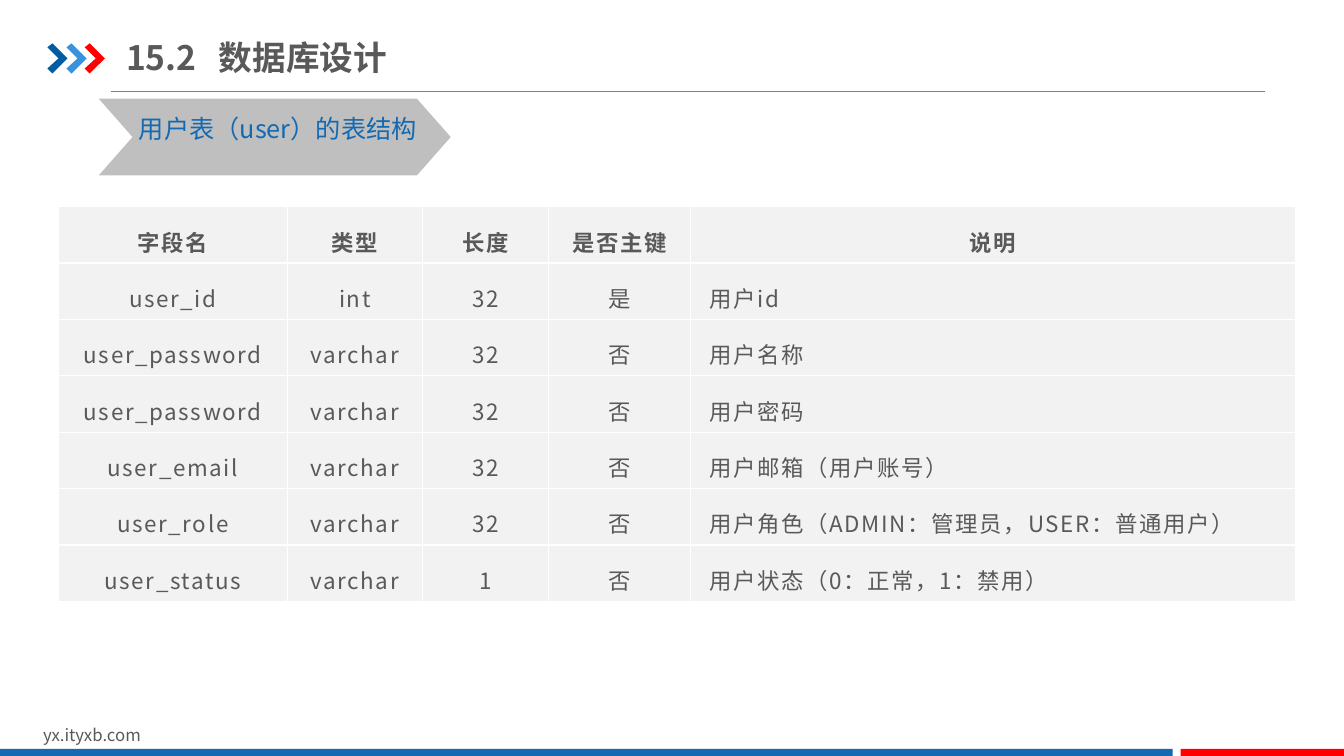
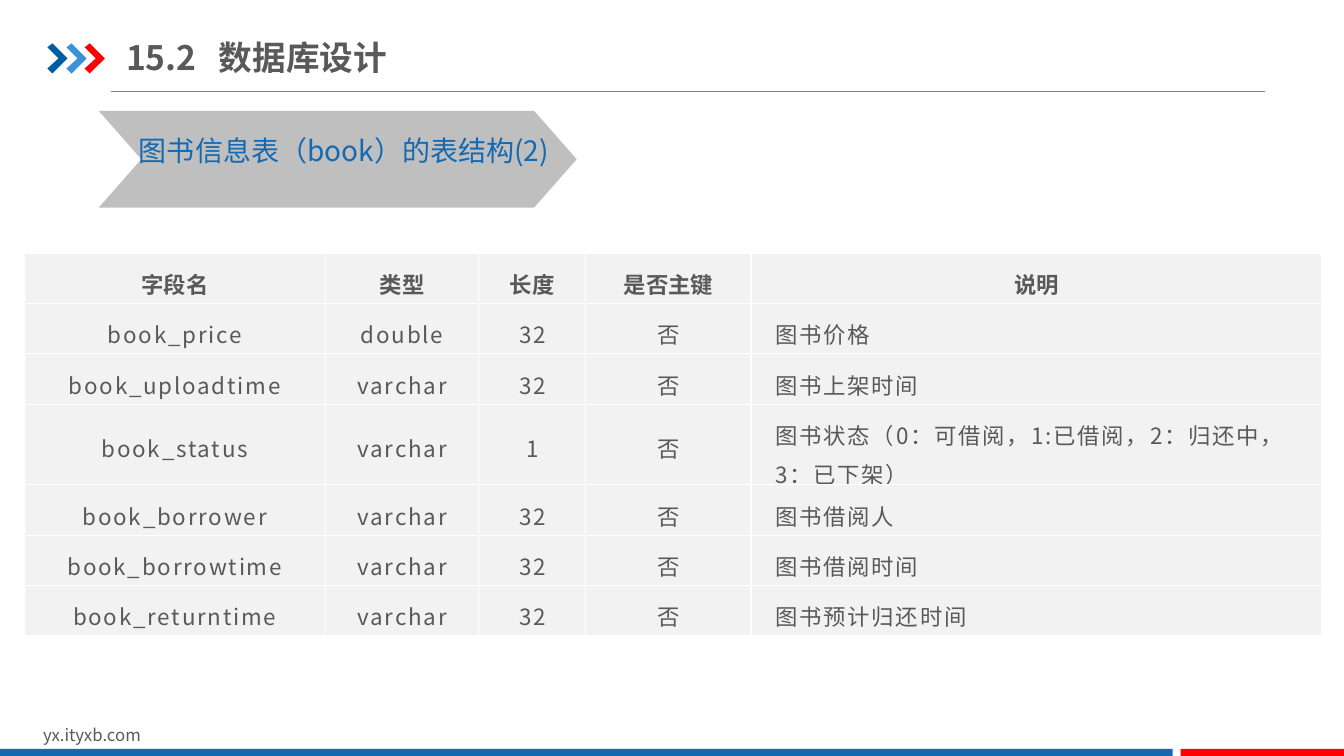
from dataclasses import dataclass
from typing import Optional

from lxml import etree
from pptx import Presentation
from pptx.dml.color import RGBColor
from pptx.enum import shapes, text
from pptx.oxml.ns import qn
from pptx.util import Inches, Pt

BLUE = RGBColor(0x13, 0x69, 0xB2)
DARK_BLUE = RGBColor(0x00, 0x5D, 0xA2)
LIGHT_BLUE = RGBColor(0x39, 0x92, 0xDB)
RED = RGBColor(0xFF, 0x00, 0x00)
TEXT_GREY = RGBColor(0x59, 0x59, 0x59)
RULE_GREY = RGBColor(0x80, 0x80, 0x80)
TAG_GREY = RGBColor(0xBF, 0xBF, 0xBF)
CELL_GREY = RGBColor(0xF2, 0xF2, 0xF2)
FONT = "Noto Sans CJK SC"
TITLE = "15.2\t数据库设计"
HEADERS = ("字段名", "类型", "长度", "是否主键", "说明")


@dataclass(frozen=True)
class Box:
    left: float
    top: float
    width: float
    height: float

    def emu(self) -> tuple:
        return tuple(Inches(v) for v in (self.left, self.top, self.width, self.height))


@dataclass(frozen=True)
class Tag:
    text: str
    size: int
    chevron: Box
    label: Box


@dataclass(frozen=True)
class FieldTable:
    left: float
    top: float
    cols: tuple
    row_heights: tuple
    margin_x: float
    margin_y: float
    header_spacing: int
    body_spacing: int
    rows: tuple


@dataclass(frozen=True)
class Page:
    tag: Tag
    table: FieldTable


@dataclass(frozen=True)
class Arrow:
    left: float
    color: RGBColor


ARROWS = (Arrow(0.47, DARK_BLUE), Arrow(0.66, LIGHT_BLUE), Arrow(0.84, RED))
ARROW_OUTLINE = ((0, 0.47), (0.05, 0.43), (0.2, 0.58), (0.05, 0.73), (0, 0.68), (0.11, 0.58))
BANDS = ((Box(0, 7.43, 11.63, 0.09), BLUE), (Box(11.71, 7.43, 1.63, 0.09), RED))

PAGES = (
    Page(
        Tag("用户表（user）的表结构", 18, Box(0.98, 0.98, 3.49, 0.76), Box(1.28, 1.12, 2.96, 0.4)),
        FieldTable(
            0.58, 2.05, (2.27, 1.34, 1.25, 1.41, 6), (0.55,) * 7, 0.19, 0.12, 120, 120,
            (
                ("user_id", "int", "32", "是", "用户id"),
                ("user_password", "varchar", "32", "否", "用户名称"),
                ("user_password", "varchar", "32", "否", "用户密码"),
                ("user_email", "varchar", "32", "否", "用户邮箱（用户账号）"),
                ("user_role", "varchar", "32", "否", "用户角色（ADMIN：管理员，USER：普通用户）"),
                ("user_status", "varchar", "1", "否", "用户状态（0：正常，1：禁用）"),
            ),
        ),
    ),
    Page(
        Tag("图书信息表（book）的表结构(2)", 20, Box(0.98, 1.1, 4.74, 0.96), Box(1.28, 1.33, 4.29, 0.44)),
        FieldTable(
            0.24, 2.51, (2.99, 1.52, 1.06, 1.64, 5.66), (0.5,) * 3 + (0.8,) + (0.5,) * 3,
            0.24, 0.08, 0, 130,
            (
                ("book_price", "double", "32", "否", "图书价格"),
                ("book_uploadtime", "varchar", "32", "否", "图书上架时间"),
                ("book_status", "varchar", "1", "否", "图书状态（0：可借阅，1:已借阅，2：归还中，3：已下架）"),
                ("book_borrower", "varchar", "32", "否", "图书借阅人"),
                ("book_borrowtime", "varchar", "32", "否", "图书借阅时间"),
                ("book_returntime", "varchar", "32", "否", "图书预计归还时间"),
            ),
        ),
    ),
)


def format_run(r, size: int, color: RGBColor, bold: bool = False, spacing: int = 0) -> None:
    r.font.size = Pt(size)
    r.font.bold = bold
    r.font.color.rgb = color
    r.font.name = FONT
    rpr = r.font._element
    etree.SubElement(rpr, qn("a:ea")).set("typeface", FONT)
    if spacing:
        rpr.set("spc", str(spacing))


def fill_shape(sp, color: RGBColor) -> None:
    sp.shadow.inherit = False
    sp.fill.solid()
    sp.fill.fore_color.rgb = color
    sp.line.fill.background()


def add_text(s, box: Box, content: str, size: int, color: RGBColor, bold: bool = False,
             line_spacing: Optional[float] = None, tab: Optional[float] = None):
    tf = s.shapes.add_textbox(*box.emu()).text_frame
    tf.word_wrap = True
    tf.text = content
    p = tf.paragraphs[0]
    if line_spacing:
        p.line_spacing = line_spacing
    if tab:
        stops = etree.SubElement(p._p.get_or_add_pPr(), qn("a:tabLst"))
        etree.SubElement(stops, qn("a:tab"), pos=str(Inches(tab)), algn="l")
    for r in p.runs:
        format_run(r, size, color, bold)
    return tf


def add_frame(s) -> None:
    rule = s.shapes.add_connector(
        shapes.MSO_CONNECTOR.STRAIGHT, Inches(1.1), Inches(0.91), Inches(12.55), Inches(0.91))
    rule.line.color.rgb = RULE_GREY
    rule.line.width = Pt(0.5)
    etree.SubElement(rule._element.spPr, qn("a:effectLst"))
    group = s.shapes.add_group_shape()
    for arrow in ARROWS:
        points = [(Inches(arrow.left + x), Inches(y)) for x, y in ARROW_OUTLINE]
        builder = group.shapes.build_freeform(*points[0])
        builder.add_line_segments(points[1:], close=True)
        fill_shape(builder.convert_to_shape(), arrow.color)
    add_text(s, Box(0.33, 7.14, 3.18, 0.3), "yx.ityxb.com", 12, TEXT_GREY)
    for box, color in BANDS:
        fill_shape(s.shapes.add_shape(shapes.MSO_SHAPE.RECTANGLE, *box.emu()), color)
    tf = add_text(s, Box(1.25, 0.29, 3.21, 0.55), TITLE, 24, TEXT_GREY, bold=True, tab=0.92)
    tf.vertical_anchor = text.MSO_ANCHOR.MIDDLE
    tf.margin_left = tf.margin_right = 0
    tf.margin_top = tf.margin_bottom = Inches(0.07)


def add_tag(s, tag: Tag) -> None:
    sp = s.shapes.add_shape(shapes.MSO_SHAPE.CHEVRON, *tag.chevron.emu())
    sp.adjustments[0] = 0.44
    fill_shape(sp, TAG_GREY)
    add_text(s, tag.label, tag.text, tag.size, BLUE, line_spacing=0.85)


def add_borders(cell) -> None:
    tcpr = cell._tc.get_or_add_tcPr()
    for i, side in enumerate(("lnL", "lnR", "lnT", "lnB")):
        ln = etree.Element(qn(f"a:{side}"), w=str(Pt(1)))
        fill = etree.SubElement(ln, qn("a:solidFill"))
        etree.SubElement(fill, qn("a:srgbClr"), val="FFFFFF")
        tcpr.insert(i, ln)


def add_field_table(s, spec_: FieldTable) -> None:
    rows = (HEADERS,) + spec_.rows
    box = Box(spec_.left, spec_.top, sum(spec_.cols), sum(spec_.row_heights))
    table = s.shapes.add_table(len(rows), len(HEADERS), *box.emu()).table
    table.first_row = table.horz_banding = False
    for column, width in zip(table.columns, spec_.cols):
        column.width = Inches(width)
    for row, height in zip(table.rows, spec_.row_heights):
        row.height = Inches(height)
    for i, values in enumerate(rows):
        header = i == 0
        for j, value in enumerate(values):
            cell = table.cell(i, j)
            cell.fill.solid()
            cell.fill.fore_color.rgb = CELL_GREY
            add_borders(cell)
            cell.vertical_anchor = text.MSO_ANCHOR.MIDDLE
            cell.margin_left = cell.margin_right = Inches(spec_.margin_x)
            cell.margin_top = cell.margin_bottom = Inches(spec_.margin_y)
            cell.text_frame.text = value
            p = cell.text_frame.paragraphs[0]
            p.line_spacing = 1.2
            left_aligned = j == len(HEADERS) - 1 and not header
            p.alignment = text.PP_ALIGN.LEFT if left_aligned else text.PP_ALIGN.CENTER
            spacing = spec_.header_spacing if header else spec_.body_spacing
            format_run(p.runs[0], 16, TEXT_GREY, header, spacing)


def main() -> None:
    prs = Presentation()
    prs.slide_width, prs.slide_height = Inches(13.33), Inches(7.5)
    for page in PAGES:
        s = prs.slides.add_slide(prs.slide_layouts[6])
        add_frame(s)
        add_tag(s, page.tag)
        add_field_table(s, page.table)
    prs.save("out.pptx")


if __name__ == "__main__":
    main()
